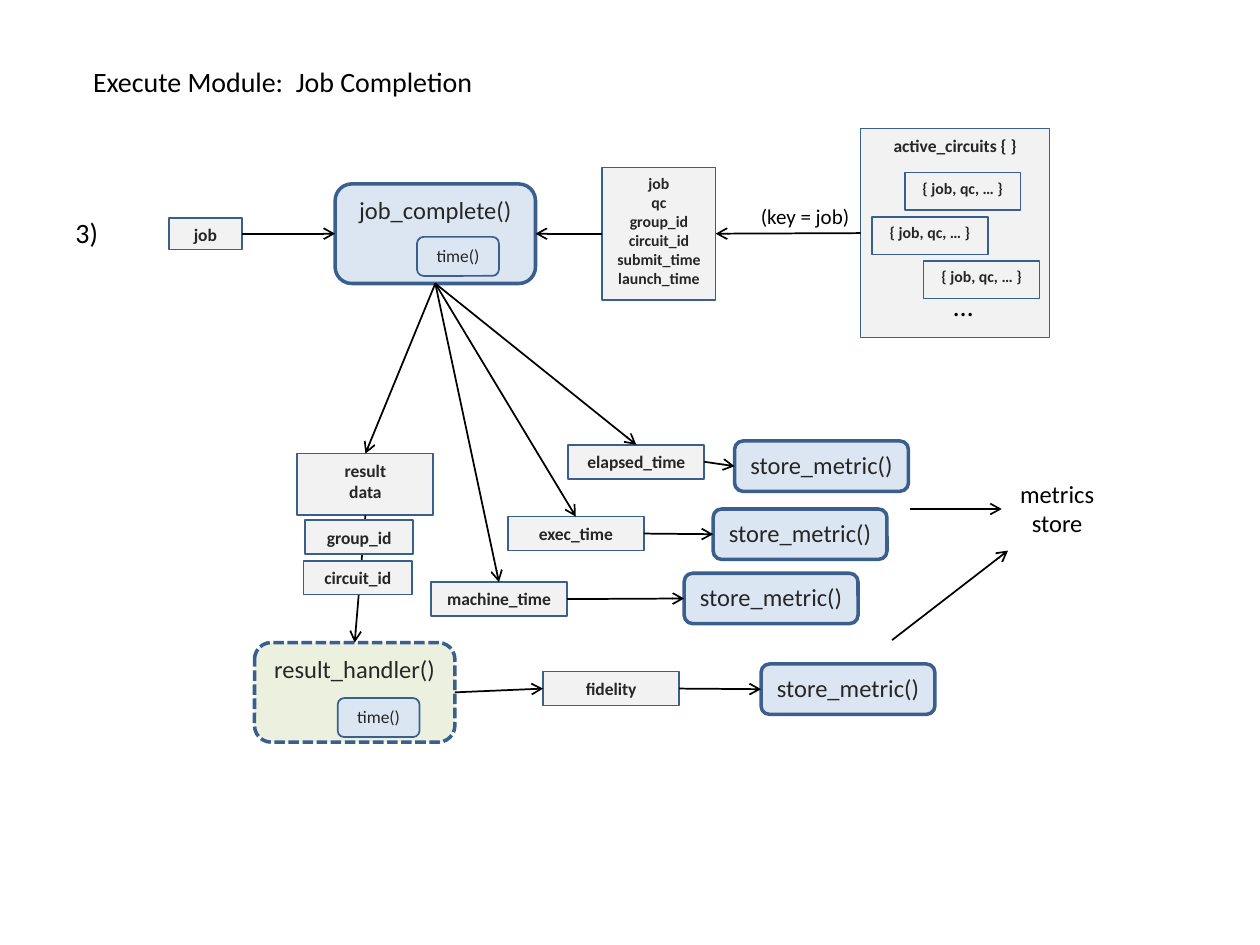
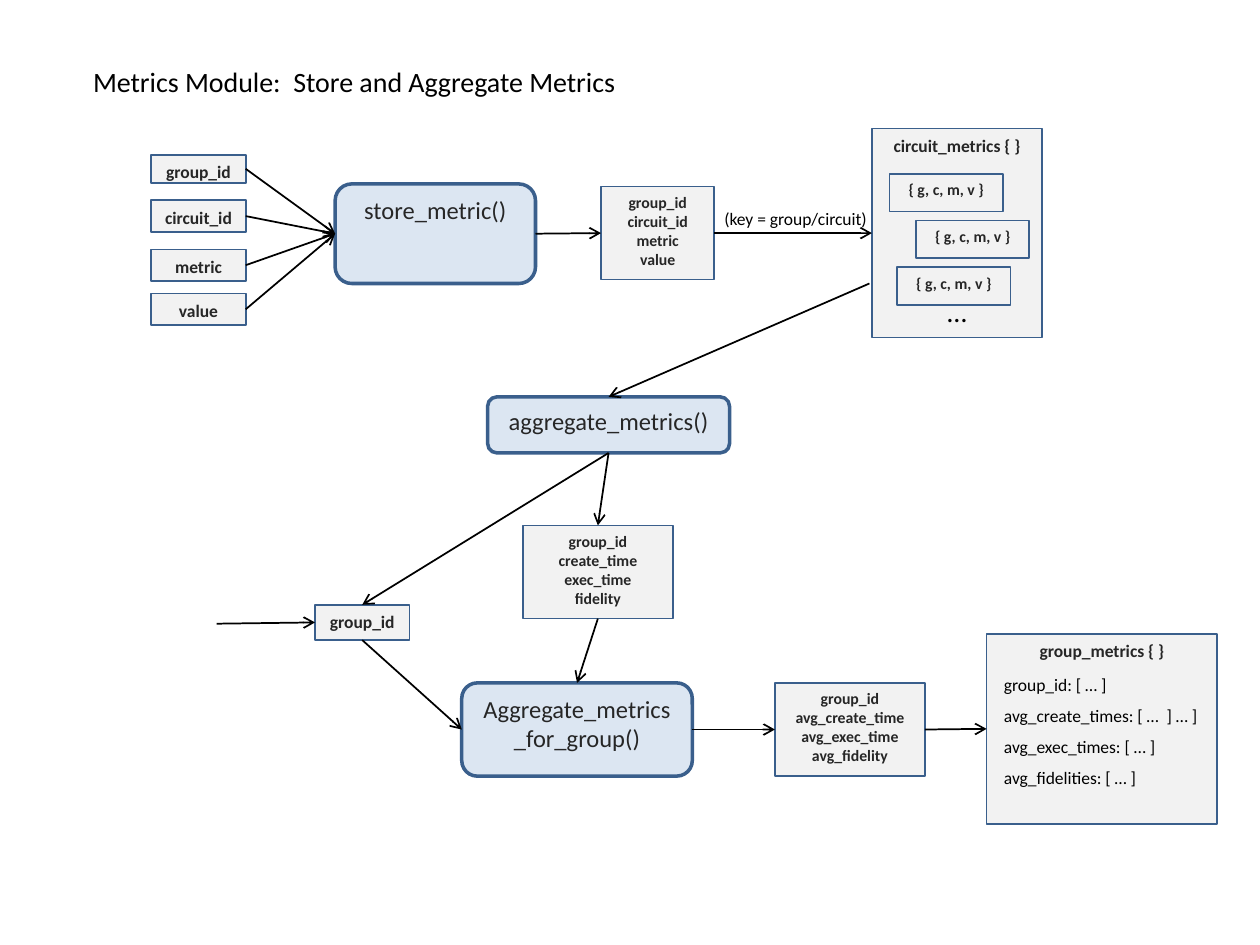
from dataclasses import dataclass, field
from typing import Any, NamedTuple, Union

from lxml.etree import SubElement
from pptx import Presentation
from pptx.dml.color import RGBColor
from pptx.enum.dml import MSO_LINE_DASH_STYLE as Dash
from pptx.enum.shapes import MSO_CONNECTOR as Link, MSO_SHAPE as Outline
from pptx.enum.text import MSO_ANCHOR as Anchor, PP_ALIGN as Align
from pptx.oxml.ns import qn
from pptx.util import Emu, Inches, Pt

SLIDE_WIDTH, SLIDE_HEIGHT = Inches(10), Inches(7.5)
CELL = SLIDE_WIDTH / 100

BLACK = RGBColor(0x00, 0x00, 0x00)
CHARCOAL = RGBColor(0x26, 0x26, 0x26)
STEEL = RGBColor(0x3A, 0x5F, 0x8C)
PALE_GREY = RGBColor(0xF2, 0xF2, 0xF2)
PALE_BLUE = RGBColor(0xDC, 0xE6, 0xF2)
PALE_GREEN = RGBColor(0xEB, 0xF1, 0xDE)

TOP, LEFT, BOTTOM, RIGHT = range(4)


class Style(NamedTuple):
    outline: Outline
    fill: RGBColor
    font: dict[str, Any]
    line: dict[str, Any]


DATA = Style(Outline.RECTANGLE, PALE_GREY, {"size": Pt(10), "bold": True}, {"width": Pt(1)})
RECORD = DATA._replace(font={"size": Pt(9), "bold": True})
FUNCTION = Style(Outline.ROUNDED_RECTANGLE, PALE_BLUE, {"size": Pt(14)}, {"width": Pt(2)})
TIMER = FUNCTION._replace(font={"size": Pt(10)}, line={"width": Pt(1)})
HANDLER = FUNCTION._replace(fill=PALE_GREEN, line={"width": Pt(2), "dash_style": Dash.SQUARE_DOT})


@dataclass
class Node:
    text: str
    col: float
    row: float
    cols: float
    rows: float
    style: Style = DATA


@dataclass
class Label:
    text: str
    col: float
    row: float
    cols: float
    rows: float
    size: int = 10
    align: Align = Align.LEFT


class Port(NamedTuple):
    node: str
    side: int


class Spot(NamedTuple):
    col: float
    row: float


class Arrow(NamedTuple):
    start: Union[Port, Spot]
    end: Union[Port, Spot]


@dataclass
class Diagram:
    title: str
    nodes: dict[str, Node]
    arrows: list[Arrow]
    labels: list[Label]
    overlays: list[Node] = field(default_factory=list)


def cells(count: float) -> Emu:
    return Emu(round(count * CELL))


def place(part: Union[Node, Label]) -> list[Emu]:
    return [cells(count) for count in (part.col, part.row, part.cols, part.rows)]


def apply_format(target: Any, values: dict[str, Any]) -> None:
    for name, value in values.items():
        setattr(target, name, value)


def write(frame: Any, text: str, font: dict[str, Any], color: RGBColor, align: Align) -> None:
    apply_format(frame, {"text": text, "word_wrap": True, "vertical_anchor": Anchor.TOP})
    for paragraph in frame.paragraphs:
        paragraph.alignment = align
        for run in paragraph.runs:
            apply_format(run.font, {"name": "Calibri", **font})
            run.font.color.rgb = color


def draw_node(slide: Any, node: Node) -> Any:
    shape = slide.shapes.add_shape(node.style.outline, *place(node))
    shape.shadow.inherit = False
    shape.fill.solid()
    shape.fill.fore_color.rgb = node.style.fill
    shape.line.color.rgb = STEEL
    apply_format(shape.line, node.style.line)
    write(shape.text_frame, node.text, node.style.font, CHARCOAL, Align.CENTER)
    return shape


def draw_label(slide: Any, label: Label) -> None:
    box = slide.shapes.add_textbox(*place(label))
    write(box.text_frame, label.text, {"size": Pt(label.size)}, BLACK, label.align)


def locate(end: Union[Port, Spot], nodes: dict[str, Node]) -> tuple[Emu, Emu]:
    if isinstance(end, Spot):
        return cells(end.col), cells(end.row)
    node = nodes[end.node]
    across, down = {TOP: (0.5, 0), LEFT: (0, 0.5), BOTTOM: (0.5, 1), RIGHT: (1, 0.5)}[end.side]
    return cells(node.col + across * node.cols), cells(node.row + down * node.rows)


def draw_arrow(slide: Any, arrow: Arrow, nodes: dict[str, Node], shapes: dict[str, Any]) -> None:
    connector = slide.shapes.add_connector(
        Link.STRAIGHT, *locate(arrow.start, nodes), *locate(arrow.end, nodes))
    for end, join in ((arrow.start, connector.begin_connect), (arrow.end, connector.end_connect)):
        if isinstance(end, Port):
            join(shapes[end.node], end.side)
    connector.line.color.rgb = BLACK
    connector.line.width = Pt(1)
    properties = connector.element.spPr
    SubElement(properties.find(qn("a:ln")), qn("a:tailEnd"), type="arrow")
    SubElement(properties, qn("a:effectLst"))


def draw_diagram(deck: Any, diagram: Diagram) -> None:
    slide = deck.slides.add_slide(deck.slide_layouts[6])
    draw_label(slide, Label(diagram.title, 6.4, 4.6, 51.7, 3.7, 16))
    shapes = {key: draw_node(slide, node) for key, node in diagram.nodes.items()}
    for arrow in diagram.arrows:
        draw_arrow(slide, arrow, diagram.nodes, shapes)
    for overlay in diagram.overlays:
        draw_node(slide, overlay)
    for label in diagram.labels:
        draw_label(slide, label)


def flow(start: str, end: str, leave: int = RIGHT, enter: int = LEFT) -> Arrow:
    return Arrow(Port(start, leave), Port(end, enter))


def job_completion() -> Diagram:
    metrics = {
        "elapsed_time": (Spot(45.1, 35.3), Spot(58.3, 35)),
        "exec_time": (Spot(40.3, 41), Spot(56.6, 40.4)),
        "machine_time": (Spot(34.2, 46.2), Spot(54.3, 45.5)),
        "fidelity": (Spot(43.1, 53.3), Spot(60.4, 52.7)),
    }
    timings = [name for name in metrics if name != "fidelity"]
    nodes = {
        "job": Node("job", 13.4, 17.3, 5.8, 2.5),
        "complete": Node("job_complete()", 26.6, 14.6, 15.9, 7.9, FUNCTION),
        "details": Node("job\nqc\ngroup_id\ncircuit_id\nsubmit_time\nlaunch_time",
                        47.8, 13.3, 9, 10.5, RECORD),
        "active": Node("active_circuits { }", 68.3, 10.2, 15, 16.6),
        "result": Node("result\ndata", 23.6, 36, 10.8, 4.9),
        "handler": Node("result_handler()", 20.2, 51, 15.9, 7.9, HANDLER),
    }
    for name, (value, store) in metrics.items():
        nodes[name] = Node(name, *value, 10.8, 2.7)
        nodes[f"store {name}"] = Node("store_metric()", *store, 13.8, 4, FUNCTION)
    return Diagram(
        "Execute Module:  Job Completion",
        nodes,
        [
            flow("job", "complete"),
            flow("active", "details", LEFT, RIGHT),
            flow("details", "complete", LEFT, RIGHT),
            *(flow("complete", name, BOTTOM, TOP) for name in ("result", *timings)),
            flow("result", "handler", BOTTOM, TOP),
            flow("handler", "fidelity"),
            *(flow(name, f"store {name}") for name in metrics),
            Arrow(Spot(72.2, 40.4), Spot(79.5, 40.4)),
            Arrow(Spot(70.8, 50.8), Spot(80, 43.7)),
        ],
        [
            Label("3)", 5, 16.6, 7.5, 3.7, 16),
            Label("(key = job)", 59.4, 15.7, 10.7, 3, 12),
            Label("…", 72.7, 22.4, 7.5, 3.7, 16, Align.CENTER),
            Label("metrics store", 78.9, 37.5, 10, 5.7, 14, Align.CENTER),
        ],
        [
            *(Node("time()", col, row, 6.5, 3.1, TIMER) for col, row in ((33.1, 18.8), (26.8, 55.4))),
            *(Node("{ job, qc, … }", col, 13.7 + 3.5 * index, 9.2, 3, RECORD)
              for index, col in enumerate((71.8, 69.2, 73.3))),
            Node("group_id", 24.2, 41.3, 8.6, 2.7),
            Node("circuit_id", 24.1, 44.5, 8.6, 2.7),
        ],
    )


def store_and_aggregate() -> Diagram:
    inputs = {"group_id": (12.3, 2.2), "circuit_id": (15.9, 2.5),
              "metric": (19.8, 2.5), "value": (23.3, 2.5)}
    group_lists = ("group_id: [ … ]", "avg_create_times: [ …  ] … ]",
                   "avg_exec_times: [ … ]", "avg_fidelities: [ … ]")
    nodes = {name: Node(name, 12, row, 7.5, rows) for name, (row, rows) in inputs.items()}
    nodes |= {
        "store": Node("store_metric()", 26.6, 14.6, 15.9, 7.9, FUNCTION),
        "entry": Node("\n".join(inputs), 47.7, 14.8, 9, 7.4, RECORD),
        "circuits": Node("circuit_metrics { }", 69.2, 10.2, 13.5, 16.6),
        "aggregate": Node("aggregate_metrics()", 38.7, 31.5, 19.2, 4.45, FUNCTION),
        "times": Node("group_id\ncreate_time\nexec_time\nfidelity", 41.5, 41.7, 11.9, 7.4, RECORD),
        "group": Node("group_id", 25, 48, 7.5, 2.8),
        "for group": Node("Aggregate_metrics_for_group()", 36.65, 54.2, 18.3, 7.4, FUNCTION),
        "averages": Node("group_id\navg_create_time\navg_exec_time\navg_fidelity",
                         61.5, 54.2, 11.9, 7.4, RECORD),
        "groups": Node("group_metrics { }", 78.3, 50.3, 18.3, 15.1),
    }
    return Diagram(
        "Metrics Module:  Store and Aggregate Metrics",
        nodes,
        [
            *(flow(name, "store") for name in inputs),
            flow("store", "entry"),
            flow("entry", "circuits"),
            Arrow(Spot(69, 22.5), Port("aggregate", TOP)),
            flow("aggregate", "times", BOTTOM, TOP),
            flow("aggregate", "group", BOTTOM, TOP),
            Arrow(Spot(17.2, 49.5), Port("group", LEFT)),
            flow("group", "for group", BOTTOM, LEFT),
            flow("times", "for group", BOTTOM, TOP),
            flow("for group", "averages"),
            flow("averages", "groups"),
        ],
        [
            Label("(key = group/circuit)", 56.5, 16, 13.5, 2.7),
            Label("…", 72.2, 22.9, 7.5, 3.7, 16, Align.CENTER),
            *(Label(text, 78.7, 53 + 2.47 * index, 17.6, 2.7)
              for index, text in enumerate(group_lists)),
        ],
        [Node("{ g, c, m, v }", col, 13.8 + 3.7 * index, 9, 3, RECORD)
         for index, col in enumerate((70.6, 72.7, 71.2))],
    )


def main() -> None:
    deck = Presentation()
    apply_format(deck, {"slide_width": SLIDE_WIDTH, "slide_height": SLIDE_HEIGHT})
    for diagram in (job_completion(), store_and_aggregate()):
        draw_diagram(deck, diagram)
    deck.save("out.pptx")


if __name__ == "__main__":
    main()
